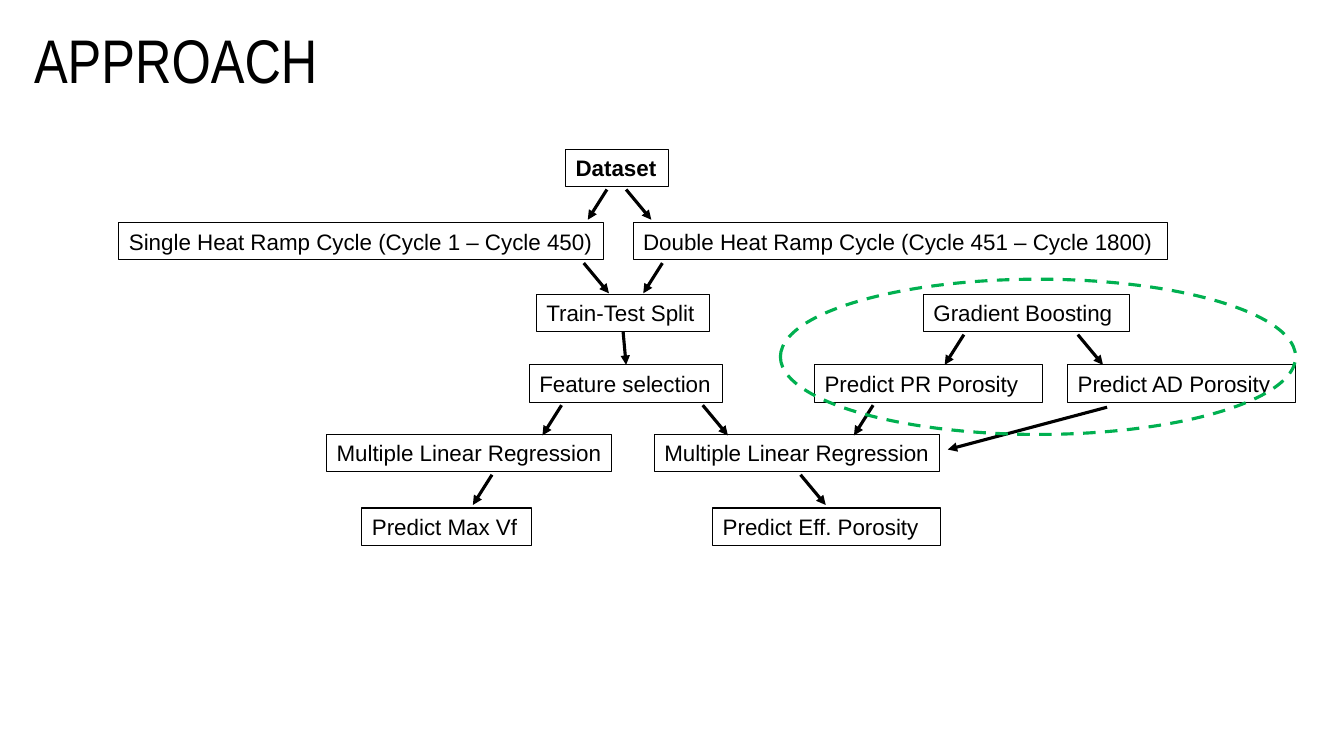
from dataclasses import dataclass

from lxml import etree
from pptx import Presentation
from pptx.dml.color import RGBColor
from pptx.enum import dml, shapes, text
from pptx.oxml import ns
from pptx.util import Inches, Pt


@dataclass(frozen=True)
class Theme:
    ink: RGBColor = RGBColor(0, 0, 0)
    highlight: RGBColor = RGBColor(0x00, 0xB0, 0x50)
    title_font: str = "Arial Narrow"
    body_font: str = "Arial"
    title_size: Pt = Pt(44)
    body_size: Pt = Pt(16)
    thin: Pt = Pt(0.75)
    thick: Pt = Pt(2.25)


THEME = Theme()
ROW_TOPS = (1.48, 2.21, 2.92, 3.62, 4.31, 5.04)
STEP_HEIGHT = 0.37
ARROW_OFFSET, ARROW_DROP = 0.4, 0.3
LEFTWARD, RIGHTWARD = -0.19, 0.25

# row, left, width, label
STEPS = (
    (0, 5.61, 1.02, "Dataset"),
    (1, 1.18, 4.81, "Single Heat Ramp Cycle (Cycle 1 – Cycle 450)"),
    (1, 6.28, 5.3, "Double Heat Ramp Cycle (Cycle 451 – Cycle 1800)"),
    (2, 5.32, 1.72, "Train-Test Split"),
    (2, 9.16, 2.04, "Gradient Boosting"),
    (3, 5.25, 1.92, "Feature selection"),
    (3, 8.08, 2.26, "Predict PR Porosity"),
    (3, 10.59, 2.26, "Predict AD Porosity"),
    (4, 3.24, 2.83, "Multiple Linear Regression"),
    (4, 6.49, 2.83, "Multiple Linear Regression"),
    (5, 3.59, 1.68, "Predict Max Vf"),
    (5, 7.07, 2.26, "Predict Eff. Porosity"),
)

# row above the arrow, starting x, sideways shift
FLOWS = (
    (0, 6.02, LEFTWARD), (0, 6.21, RIGHTWARD),
    (1, 5.79, RIGHTWARD), (1, 6.57, LEFTWARD),
    (2, 9.56, LEFTWARD), (2, 10.69, RIGHTWARD),
    (3, 5.57, LEFTWARD), (3, 6.97, RIGHTWARD), (3, 8.66, LEFTWARD),
    (4, 4.88, LEFTWARD), (4, 7.94, RIGHTWARD),
)


def apply_format(target, settings):
    for attribute, value in settings.items():
        setattr(target, attribute, value)


def write(shape, wording, font_format, frame_format):
    frame = shape.text_frame
    apply_format(frame, {"word_wrap": True, **frame_format})
    paragraph = frame.paragraphs[0]
    paragraph.alignment = text.PP_ALIGN.LEFT
    run = paragraph.add_run()
    run.text = wording
    apply_format(run.font, font_format)
    run.font.color.rgb = THEME.ink
    return paragraph


def add_title(slide, wording):
    title = slide.shapes.add_textbox(
        Inches(0.24), Inches(0.25), Inches(11.5), Inches(1.45))
    paragraph = write(
        title, wording,
        {"name": THEME.title_font, "size": THEME.title_size},
        {"vertical_anchor": text.MSO_ANCHOR.TOP})
    paragraph.line_spacing = 0.9


def add_outline(slide, preset, left, top, width, height, colour, weight):
    """Add an unfilled preset shape."""
    outline = slide.shapes.add_shape(
        preset, Inches(left), Inches(top), Inches(width), Inches(height))
    outline.shadow.inherit = False
    outline.fill.background()
    outline.line.color.rgb = colour
    outline.line.width = weight
    return outline


def add_step(slide, row, left, width, label):
    step = add_outline(slide, shapes.MSO_SHAPE.RECTANGLE, left, ROW_TOPS[row],
                       width, STEP_HEIGHT, THEME.ink, THEME.thin)
    write(step, label,
          {"name": THEME.body_font, "size": THEME.body_size, "bold": row == 0},
          {"vertical_anchor": text.MSO_ANCHOR.TOP,
           "margin_right": Inches(0.05),
           "auto_size": text.MSO_AUTO_SIZE.SHAPE_TO_FIT_TEXT})
    return step


def add_arrow(slide, start=(0, 0), end=(0, 0)):
    arrow = slide.shapes.add_connector(
        shapes.MSO_CONNECTOR.STRAIGHT, *map(Inches, (*start, *end)))
    arrow.line.color.rgb = THEME.ink
    arrow.line.width = THEME.thick
    etree.SubElement(arrow.line._get_or_add_ln(), ns.qn("a:tailEnd"),
                     type="triangle")
    etree.SubElement(arrow._element.spPr, ns.qn("a:effectLst"))
    return arrow


def add_flow(slide, row, x, shift):
    """Add a slanted arrow from one row towards the next."""
    y = ROW_TOPS[row] + ARROW_OFFSET
    add_arrow(slide, (x, y), (x + shift, y + ARROW_DROP))


def main():
    deck = Presentation()
    deck.slide_width, deck.slide_height = Inches(13.33), Inches(7.5)
    slide = deck.slides.add_slide(deck.slide_layouts[6])

    add_title(slide, "APPROACH")
    steps = {step[-1]: add_step(slide, *step) for step in STEPS}
    for flow in FLOWS:
        add_flow(slide, *flow)

    split_to_selection = add_arrow(slide)
    split_to_selection.begin_connect(steps["Train-Test Split"], 2)
    split_to_selection.end_connect(steps["Feature selection"], 0)
    add_arrow(slide, (10.98, 4.04), (9.4, 4.46))

    boosting_group = add_outline(slide, shapes.MSO_SHAPE.OVAL, 7.74, 2.77,
                                 5.11, 1.54, THEME.highlight, THEME.thick)
    boosting_group.line.dash_style = dml.MSO_LINE.DASH

    deck.save("out.pptx")


if __name__ == "__main__":
    main()
